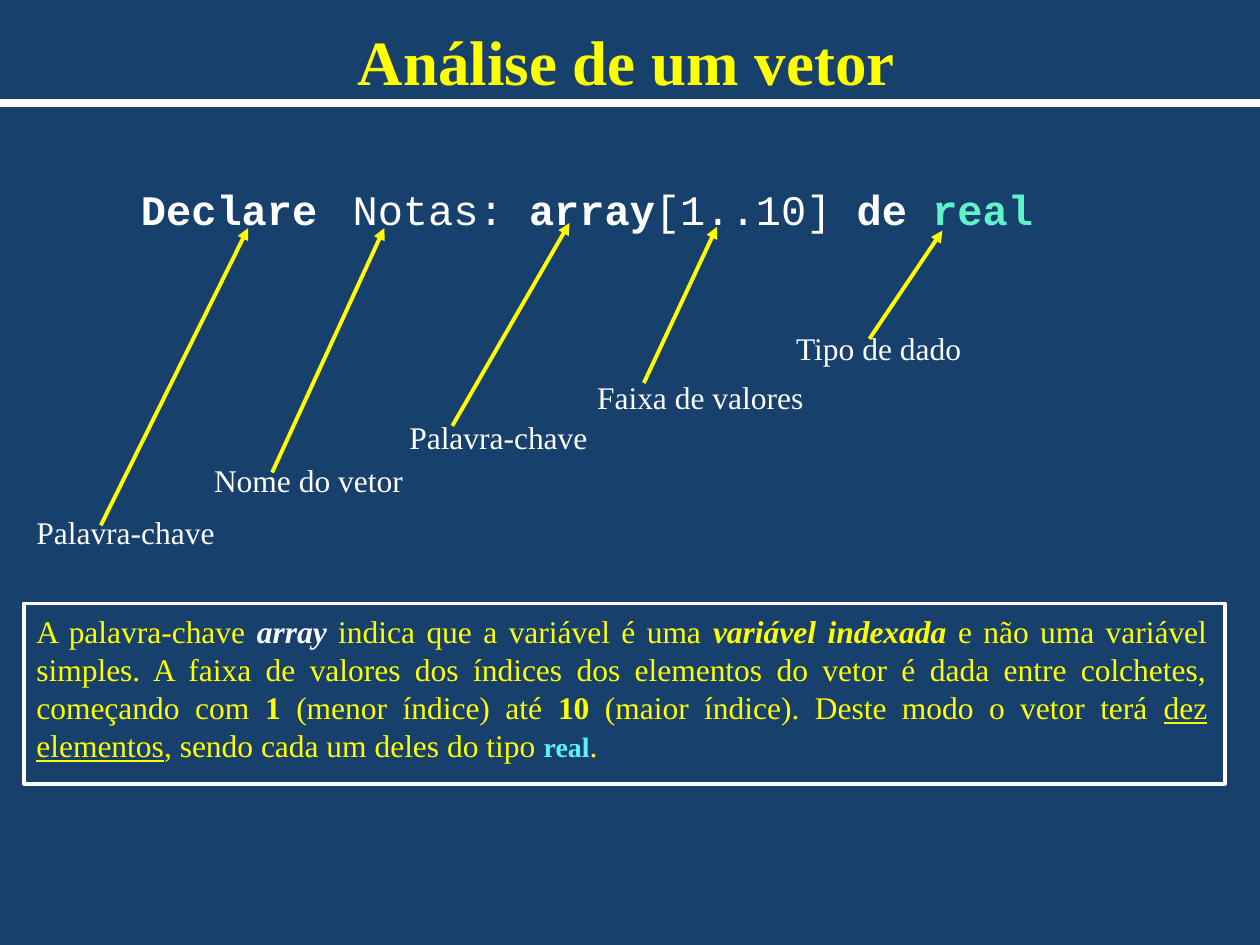
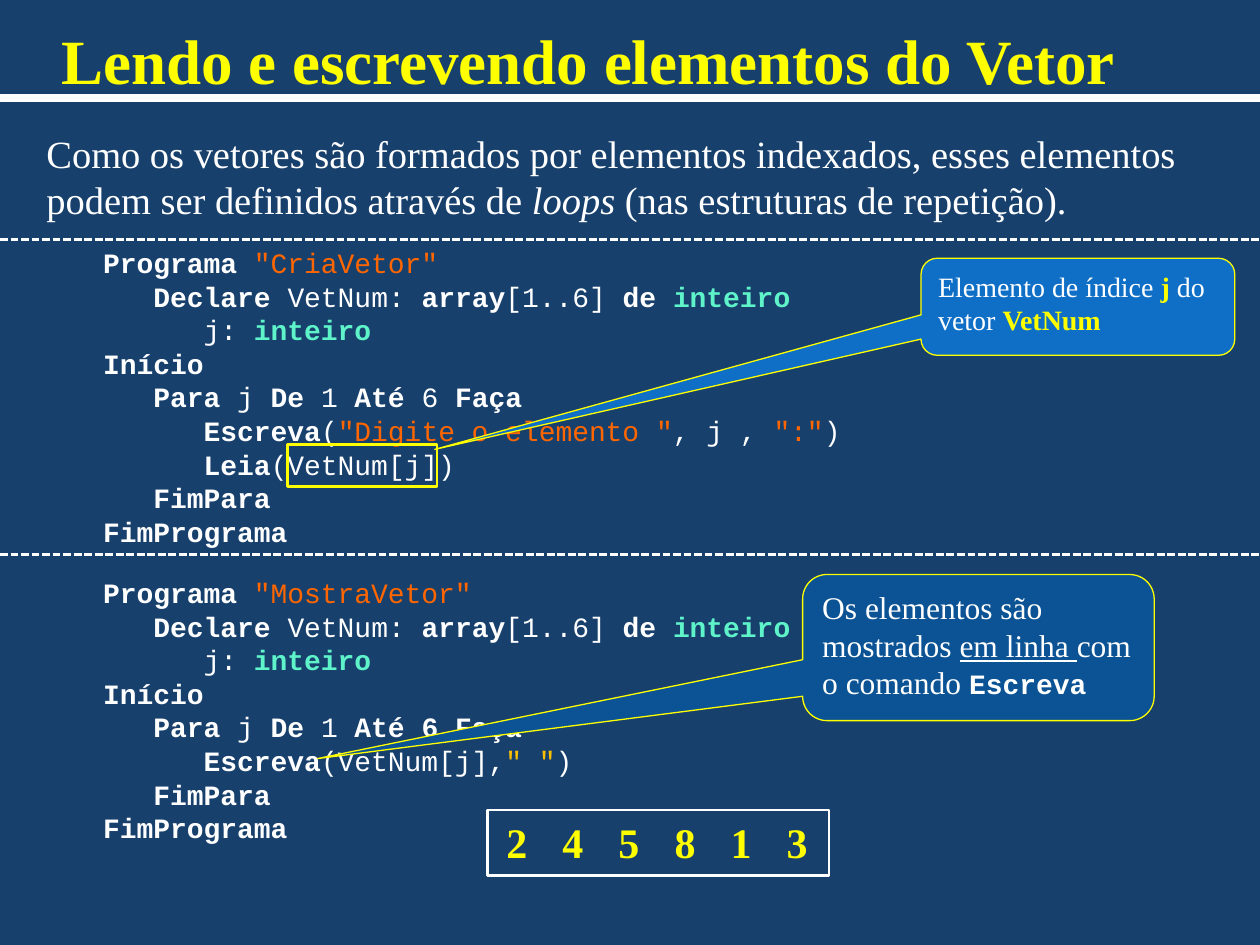
from lxml import etree
from pptx import Presentation
from pptx import util as u
from pptx.dml.color import RGBColor
from pptx.enum import dml, shapes, text
from pptx.oxml import ns

Inches, Pt = u.Inches, u.Pt

NAVY = RGBColor(0x17, 0x40, 0x6D)
BLUE = RGBColor(0x0F, 0x6F, 0xC6)
DEEP_BLUE = RGBColor(0x0B, 0x53, 0x94)
WHITE = RGBColor(0xFF, 0xFF, 0xFF)
YELLOW = RGBColor(0xFF, 0xFF, 0x00)
MINT = RGBColor(0x5F, 0xF3, 0xCA)
CYAN = RGBColor(0x5E, 0xF0, 0xF7)
ORANGE = RGBColor(0xFF, 0x66, 0x00)
GOLD = RGBColor(0xFF, 0xC0, 0x00)

SERIF = "Times New Roman"
MONO = "Courier New"
LINE_HEIGHT = 1.2


def styled(content, **font):
    """Pair a piece of text with the font settings that set it apart."""
    return content, font


def bold(content, color=None):
    if color is None:
        return styled(content, bold=True)
    return styled(content, bold=True, color=color)


def colored(content, color):
    return styled(content, color=color)


def apply_font(font, color=None, **settings):
    for name, value in settings.items():
        setattr(font, name, value)
    if color is not None:
        font.color.rgb = color


def write(frame, lines, size, name=SERIF, color=WHITE,
          align=text.PP_ALIGN.LEFT, tab=None, **settings):
    """Fill a frame; each line is a list of plain strings and styled pieces."""
    for index, pieces in enumerate(lines):
        paragraph = frame.paragraphs[0] if index == 0 else frame.add_paragraph()
        if tab is not None:
            stops = etree.SubElement(paragraph._p.get_or_add_pPr(), ns.qn("a:tabLst"))
            etree.SubElement(stops, ns.qn("a:tab"), pos=str(Inches(tab)), algn="l")
        paragraph.alignment = align
        paragraph.line_spacing = Pt(size * LINE_HEIGHT)
        apply_font(paragraph.font, size=Pt(size), name=name, color=color, **settings)
        for piece in pieces:
            content, font = (piece, {}) if isinstance(piece, str) else piece
            run = paragraph.add_run()
            run.text = content
            apply_font(run.font, **font)


def add_text(slide, left, top, width, height, lines, size, wrap=True,
             anchor=text.MSO_ANCHOR.TOP, **settings):
    box = slide.shapes.add_textbox(Inches(left), Inches(top), Inches(width), Inches(height))
    frame = box.text_frame
    frame.word_wrap = wrap
    frame.vertical_anchor = anchor
    write(frame, lines, size, **settings)


def add_line(slide, start, end, color, width, dash=None, arrow=False):
    """Draw a straight line; an arrow has its head at the start."""
    line = slide.shapes.add_connector(
        shapes.MSO_CONNECTOR.STRAIGHT, *(Inches(value) for value in (*start, *end)))
    line.line.color.rgb = color
    line.line.width = Pt(width)
    if dash is not None:
        line.line.dash_style = dash
    properties = line._element.spPr
    if arrow:
        etree.SubElement(properties.find(ns.qn("a:ln")), ns.qn("a:headEnd"), type="triangle")
    etree.SubElement(properties, ns.qn("a:effectLst"))


def add_shape(slide, kind, left, top, width, height, color, line_width, fill=None):
    shape = slide.shapes.add_shape(
        kind, Inches(left), Inches(top), Inches(width), Inches(height))
    shape.shadow.inherit = False
    if fill is None:
        shape.fill.background()
    else:
        shape.fill.solid()
        shape.fill.fore_color.rgb = fill
    shape.line.color.rgb = color
    shape.line.width = Pt(line_width)
    return shape


def add_frame(slide, left, top, width, height, color, line_width):
    add_shape(slide, shapes.MSO_SHAPE.RECTANGLE, left, top, width, height, color, line_width)


def add_callout(slide, left, top, width, height, pointer, fill, pieces, size):
    """Add a rounded callout; pointer is its tip as shares of the size from the centre."""
    callout = add_shape(slide, shapes.MSO_SHAPE.ROUNDED_RECTANGULAR_CALLOUT,
                        left, top, width, height, YELLOW, 0.75, fill)
    for index, value in enumerate((*pointer, 0.167)):
        callout.adjustments[index] = value
    callout.text_frame.word_wrap = True
    callout.text_frame.vertical_anchor = text.MSO_ANCHOR.TOP
    write(callout.text_frame, [pieces], size)


def add_titled_slide(presentation, title, left, top, width, rule_top):
    slide = presentation.slides.add_slide(presentation.slide_layouts[6])
    slide.background.fill.solid()
    slide.background.fill.fore_color.rgb = NAVY
    add_text(slide, left, top, width, 0.78, [[title]], 36, color=YELLOW, bold=True,
             align=text.PP_ALIGN.CENTER, anchor=text.MSO_ANCHOR.MIDDLE)
    add_line(slide, (0, rule_top), (10, rule_top), WHITE, 4.5)
    return slide


def program(name, body):
    """Return the code lines of a program that declares VetNum and j."""
    return [
        [bold("Programa "), colored(f'"{name}"', ORANGE)],
        [bold("   Declare "), "VetNum: ", bold("array"), "[1..6] ", bold("de "),
         bold("inteiro", MINT)],
        ["      j: ", bold("inteiro", MINT)],
        [bold("Início")],
        *body,
        [bold("   FimPara")],
        [bold("FimPrograma")],
    ]


def build_analysis(presentation):
    slide = add_titled_slide(presentation, "Análise de um vetor", 0.72, 0.09, 8.5, 0.82)
    declaration = [bold("Declare"), "\tNotas: ", bold("array"), "[1..10] ", bold("de "),
                   bold("real", MINT)]
    add_text(slide, 1.02, 1.41, 7.5, 0.51, [declaration], 24, name=MONO, tab=1.68)

    # label, its left and top, arrow tip on the declaration, arrow foot at the label
    parts = [
        ("Palavra-chave", 0.19, 4.02, (1.97, 1.81), (0.8, 4.17)),
        ("Nome do vetor", 1.6, 3.61, (3.05, 1.81), (2.16, 3.75)),
        ("Palavra-chave", 3.15, 3.27, (4.52, 1.77), (3.59, 3.38)),
        ("Faixa de valores", 4.64, 2.95, (5.69, 1.8), (5.11, 3.04)),
        ("Tipo de dado", 6.22, 2.56, (7.48, 1.83), (6.9, 2.69)),
    ]
    for label, left, top, tip, foot in parts:
        add_line(slide, tip, foot, YELLOW, 2.25, arrow=True)
        add_text(slide, left, top, 1.85, 0.4, [[label]], 18, wrap=False)

    explanation = [
        "A palavra-chave ",
        styled("array", color=WHITE, bold=True, italic=True),
        " indica que a variável é uma ",
        styled("variável indexada", bold=True, italic=True),
        " e não uma variável simples. A faixa de valores dos índices dos elementos "
        "do vetor é dada entre colchetes, começando com ",
        bold("1"), " (menor índice) até ", bold("10"),
        " (maior índice). Deste modo o vetor terá ",
        styled("dez elementos", underline=True),
        ", sendo cada um deles do tipo ",
        styled("real", size=Pt(16), color=CYAN, bold=True),
        ".",
    ]
    add_text(slide, 0.19, 4.81, 9.49, 1.31, [explanation], 18, color=YELLOW,
             align=text.PP_ALIGN.JUSTIFY)
    add_frame(slide, 0.19, 4.79, 9.53, 1.43, WHITE, 2.25)


def build_reading_and_writing(presentation):
    slide = add_titled_slide(presentation, "Lendo e escrevendo elementos do Vetor",
                             0.12, 0.08, 9.1, 0.78)
    introduction = [
        "Como os vetores são formados por elementos indexados, esses elementos "
        "podem ser definidos através de ",
        styled("loops", italic=True),
        " (nas estruturas de repetição).",
    ]
    add_text(slide, 0.27, 0.98, 9.52, 0.84, [introduction], 22)

    loop_start = [bold("   Para "), "j", bold(" De "), "1"]
    reading = program("CriaVetor", [
        [*loop_start, bold(" Até "), "6", bold(" Faça")],
        [bold("      Escreva"), "(", colored('"Digite o elemento "', ORANGE), ", j , ",
         colored('":"', ORANGE), ")"],
        [bold("      Leia"), "(VetNum[j])"],
    ])
    writing = program("MostraVetor", [
        [*loop_start, bold(" Até 6 Faça")],
        [bold("      Escreva"), "(VetNum[j],", colored('" "', GOLD), ")"],
    ])
    add_text(slide, 0.72, 1.9, 6.09, 2.52, reading, 16, name=MONO)
    add_text(slide, 0.72, 4.52, 6.09, 2.26, writing, 16, name=MONO)
    for top in (1.9, 4.4):
        add_line(slide, (0, top), (10, top), WHITE, 1.5, dash=dml.MSO_LINE.SQUARE_DOT)

    add_callout(slide, 6.37, 4.56, 2.79, 1.16, (-1.88, 0.76), DEEP_BLUE, [
        "Os elementos são mostrados ", styled("em linha ", underline=True),
        "com o comando ", styled("Escreva", size=Pt(16), name=MONO, bold=True),
    ], 18)

    first_left, pitch = 3.92, 0.445
    for index, value in enumerate("245813"):
        add_text(slide, first_left + index * pitch, 6.43, 0.45, 0.51, [[value]], 24,
                 wrap=False, color=YELLOW, bold=True)
    add_frame(slide, 3.87, 6.43, 2.71, 0.52, WHITE, 1.5)

    add_frame(slide, 2.28, 3.53, 1.19, 0.33, YELLOW, 1.5)
    add_callout(slide, 7.31, 2.05, 2.49, 0.77, (-2.05, 1.47), BLUE, [
        "Elemento de índice ", bold("j", YELLOW), " do vetor ", bold("VetNum", YELLOW),
    ], 16)


def main():
    presentation = Presentation()
    presentation.slide_width = Inches(10)
    presentation.slide_height = Inches(7.5)
    build_analysis(presentation)
    build_reading_and_writing(presentation)
    presentation.save("out.pptx")


if __name__ == "__main__":
    main()
